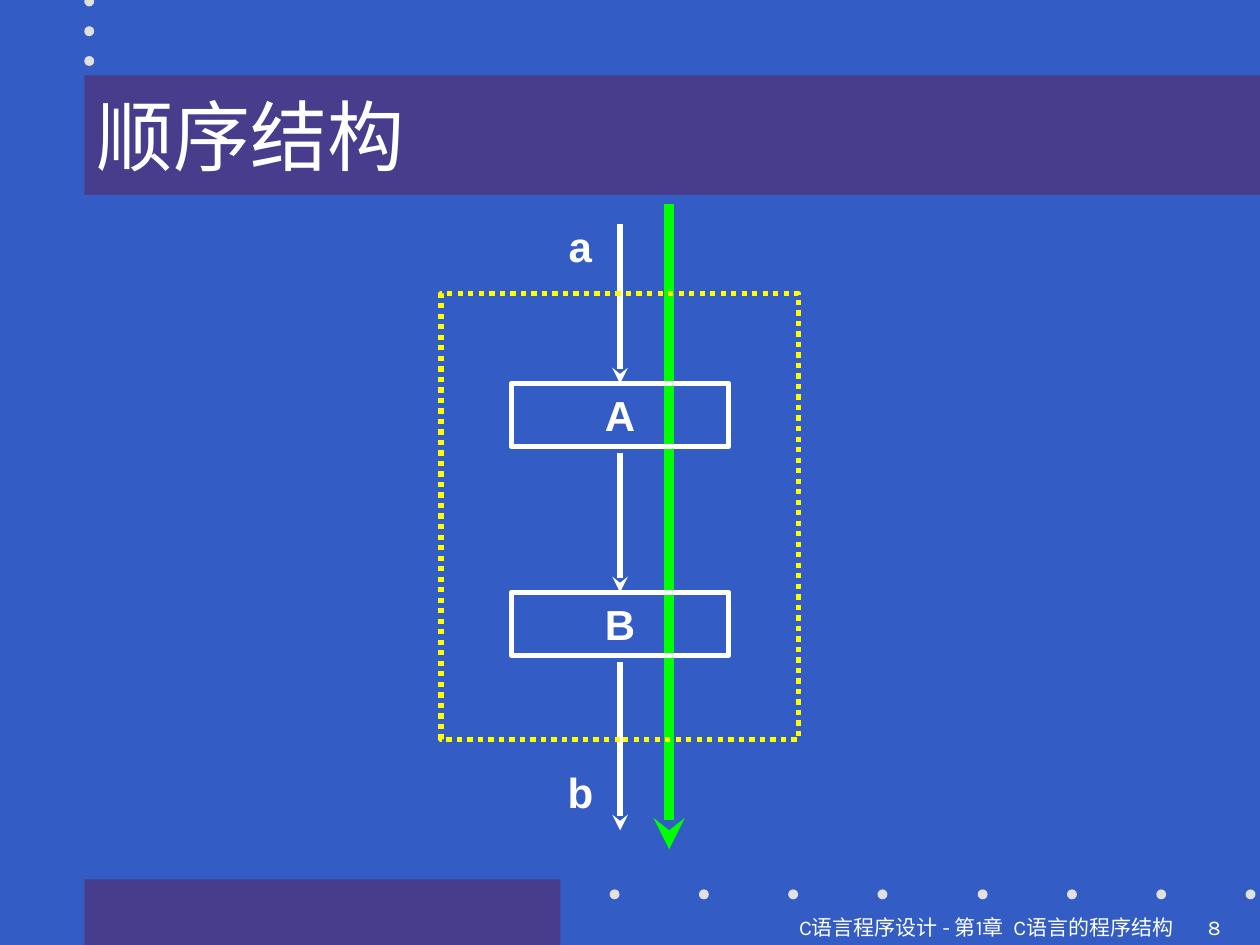
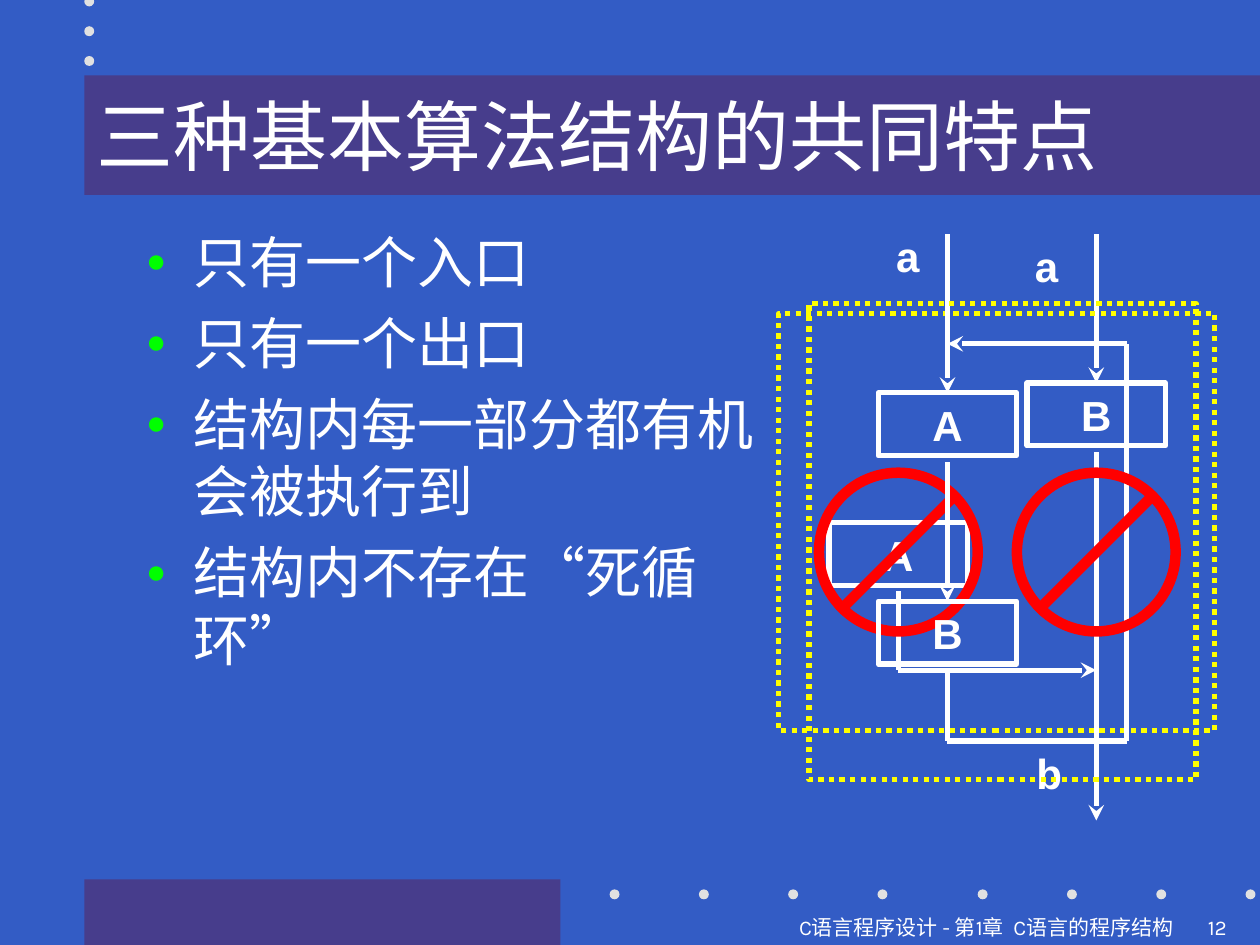
from dataclasses import dataclass
from itertools import pairwise

from lxml import etree
from pptx import Presentation
from pptx.dml.color import RGBColor
from pptx.enum.dml import MSO_LINE
from pptx.enum.shapes import MSO_CONNECTOR, MSO_SHAPE
from pptx.enum.text import MSO_ANCHOR, MSO_AUTO_SIZE, PP_ALIGN
from pptx.oxml.ns import qn
from pptx.util import Cm, Pt

RECTANGLE = MSO_SHAPE.RECTANGLE
OVAL = MSO_SHAPE.OVAL
STRAIGHT = MSO_CONNECTOR.STRAIGHT
DOTTED = MSO_LINE.ROUND_DOT
LEFT, CENTER, RIGHT = PP_ALIGN.LEFT, PP_ALIGN.CENTER, PP_ALIGN.RIGHT
TOP, MIDDLE = MSO_ANCHOR.TOP, MSO_ANCHOR.MIDDLE
NO_AUTOFIT = MSO_AUTO_SIZE.NONE
TITLE_AND_BODY, TITLE_ONLY = 1, 5
TOP_SIDE = 0

FOOTER = "C语言程序设计 - 第1章  C语言的程序结构"
BOX_HEIGHT = 1.27
ARROW_GAP = 0.13


@dataclass(frozen=True)
class Theme:
    background: str = "335CC5"
    band: str = "473D8C"
    dot: str = "E1E1E1"
    ink: str = "FFFFFF"
    accent: str = "00FF00"
    frame: str = "FFFF00"
    ban: str = "FF0000"
    heading_font: str = "Times New Roman"
    label_font: str = "Arial"
    footer_font: str = "Karla"
    title_size: int = 44
    body_size: int = 32
    label_size: int = 24
    footer_size: int = 12
    thin: int = 3
    thick: int = 6


def color(value):
    return RGBColor.from_string(value)


def write(text_frame, text, *, font, size, ink, bold=False, align=LEFT,
          anchor=TOP, space_before=0):
    text_frame.word_wrap = True
    text_frame.auto_size = NO_AUTOFIT
    text_frame.vertical_anchor = anchor
    text_frame.text = text
    for paragraph in text_frame.paragraphs:
        paragraph.alignment = align
        paragraph.space_before = Pt(space_before)
        for run in paragraph.runs:
            run.font.name = font
            run.font.size = Pt(size)
            run.font.bold = bold
            run.font.color.rgb = color(ink)


def add_bullet(paragraph, ink, indent):
    properties = paragraph._p.get_or_add_pPr()
    properties.set("marL", str(indent))
    properties.set("indent", str(-indent))
    bullet_color = etree.SubElement(properties, qn("a:buClr"))
    etree.SubElement(bullet_color, qn("a:srgbClr"), val=ink)
    etree.SubElement(properties, qn("a:buSzPct"), val="60000")
    etree.SubElement(properties, qn("a:buChar"), char="●")


def place(shape, left, top, width, height):
    shape.left, shape.top = Cm(left), Cm(top)
    shape.width, shape.height = Cm(width), Cm(height)


class Deck:
    def __init__(self, theme):
        self.theme = theme
        self.presentation = Presentation()
        self.presentation.slide_width = Cm(25.4)
        self.presentation.slide_height = Cm(19.05)
        fill = self.presentation.slide_master.background.fill
        fill.solid()
        fill.fore_color.rgb = color(theme.background)
        self.slide = None

    def start_slide(self, layout, title, number):
        layouts = self.presentation.slide_layouts
        self.slide = self.presentation.slides.add_slide(layouts[layout])
        self.decorate()
        self.title(title)
        self.footer(FOOTER, 0, 23.9, RIGHT)
        self.footer(number, 24.1, 1.3, LEFT)

    def decorate(self):
        self.shape(RECTANGLE, 1.7, 17.73, 9.6, 1.32, fill=self.theme.band)
        column = [(1.7, -0.07 + 0.6 * step) for step in range(3)]
        row = [(start + 1.8 * step, 17.93)
               for start in (12.29, 19.71) for step in range(4)]
        for left, top in column + row:
            self.shape(OVAL, left, top, 0.2, 0.2, fill=self.theme.dot)

    def title(self, text):
        title = self.slide.shapes.title
        place(title, 1.7, 1.52, 23.7, 2.41)
        title.fill.solid()
        title.fill.fore_color.rgb = color(self.theme.band)
        write(title.text_frame, text, font=self.theme.heading_font,
              size=self.theme.title_size, ink=self.theme.ink, anchor=MIDDLE)

    def bullets(self, items):
        body = self.slide.placeholders[1]
        place(body, 2.69, 4.45, 12.8, 13.28)
        write(body.text_frame, "\n".join(items), font=self.theme.heading_font,
              size=self.theme.body_size, ink=self.theme.ink, space_before=8)
        for paragraph in body.text_frame.paragraphs:
            add_bullet(paragraph, self.theme.accent, Cm(0.95))

    def text_box(self, text, left, top, width, height, **style):
        box = self.slide.shapes.add_textbox(
            Cm(left), Cm(top), Cm(width), Cm(height))
        write(box.text_frame, text, ink=self.theme.ink, **style)

    def footer(self, text, left, width, align):
        self.text_box(text, left, 18.31, width, 0.71, align=align,
                      font=self.theme.footer_font, size=self.theme.footer_size)

    def label(self, text, center, top, width=1.6):
        self.text_box(text, center - width / 2, top, width, BOX_HEIGHT,
                      font=self.theme.label_font, size=self.theme.label_size,
                      bold=True, align=CENTER)

    def shape(self, kind, left, top, width, height, *, fill=None, line=None,
              weight=0, dash=None):
        shape = self.slide.shapes.add_shape(
            kind, Cm(left), Cm(top), Cm(width), Cm(height))
        shape.shadow.inherit = False
        if fill:
            shape.fill.solid()
            shape.fill.fore_color.rgb = color(fill)
        else:
            shape.fill.background()
        if line:
            shape.line.color.rgb = color(line)
            shape.line.width = Pt(weight)
            shape.line.dash_style = dash
        else:
            shape.line.fill.background()
        return shape

    def step(self, text, center, top, width):
        box = self.shape(RECTANGLE, center - width / 2, top, width, BOX_HEIGHT,
                         line=self.theme.ink, weight=self.theme.thin)
        write(box.text_frame, text, font=self.theme.label_font,
              size=self.theme.label_size, ink=self.theme.ink, bold=True,
              align=CENTER)
        return box

    def frame(self, left, top, width, height):
        self.shape(RECTANGLE, left, top, width, height, line=self.theme.frame,
                   weight=self.theme.thin, dash=DOTTED)

    def line(self, start, end, *, ink=None, weight=None, arrow=False,
             target=None):
        connector = self.slide.shapes.add_connector(
            STRAIGHT, *map(Cm, start), *map(Cm, end))
        connector.line.color.rgb = color(ink or self.theme.ink)
        connector.line.width = Pt(weight or self.theme.thin)
        if arrow:
            etree.SubElement(connector.line._get_or_add_ln(),
                             qn("a:tailEnd"), type="stealth")
        etree.SubElement(connector._element.spPr, qn("a:effectLst"))
        if target:
            connector.end_connect(target, TOP_SIDE)

    def arrow_down(self, x, top, bottom, **style):
        self.line((x, top), (x, bottom), arrow=True, **style)

    def route(self, *points, arrow=False):
        segments = list(pairwise(points))
        for start, end in segments[:-1]:
            self.line(start, end)
        self.line(*segments[-1], arrow=arrow)

    def sequence(self, center, entry, tops, width):
        start = entry
        for text, top in zip("AB", tops):
            box = self.step(text, center, top, width)
            self.arrow_down(center, start, top, target=box)
            start = top + BOX_HEIGHT + ARROW_GAP
        return start

    def ban(self, x, y):
        style = {"ink": self.theme.ban, "weight": self.theme.thick}
        radius, reach = 1.6, 1.2
        self.shape(OVAL, x - radius, y - radius, 2 * radius, 2 * radius,
                   line=style["ink"], weight=style["weight"])
        self.line((x + reach, y - reach), (x - reach, y + reach), **style)


def build_sequence_slide(deck):
    deck.start_slide(TITLE_ONLY, "顺序结构", "8")
    axis = 12.5
    deck.arrow_down(13.49, 4.11, 17.12, ink=deck.theme.accent,
                    weight=deck.theme.thick)
    leave = deck.sequence(axis, 4.52, (7.73, 11.94), 4.39)
    deck.arrow_down(axis, leave, 16.74)
    deck.frame(8.89, 5.92, 7.21, 8.99)
    deck.label("a", 11.7, 4.32)
    deck.label("b", 11.7, 15.32, 2)


def build_features_slide(deck):
    deck.start_slide(TITLE_AND_BODY, "三种基本算法结构的共同特点", "12")
    deck.bullets(["只有一个入口", "只有一个出口",
                  "结构内每一部分都有机会被执行到", "结构内不存在“死循环”"])
    step_width, entry, ban_level = 2.79, 4.72, 11.13

    dead_axis, main_axis = 18.11, 22.1
    deck.step("A", dead_axis, 10.54, step_width)
    main_step = deck.step("B", main_axis, 7.72, step_width)
    deck.arrow_down(main_axis, entry, 7.72, target=main_step)
    deck.label("a", 21.1, entry, 1.19)
    deck.frame(15.7, 6.32, 8.79, 8.41)
    deck.label("b", 21.15, 14.94, 1.09)
    deck.route((dead_axis, 11.91), (dead_axis, 13.51), (main_axis, 13.51),
               arrow=True)
    deck.arrow_down(main_axis, 9.12, 16.54)
    deck.ban(dead_axis, ban_level)

    loop_axis, return_axis = 19.1, 22.71
    leave = deck.sequence(loop_axis, entry, (7.92, 12.12), step_width)
    deck.label("a", 18.3, 4.52)
    deck.frame(16.31, 6.12, 7.8, 9.6)
    deck.route((loop_axis, leave), (loop_axis, 14.94), (return_axis, 14.94),
               (return_axis, 6.93), (loop_axis, 6.93), arrow=True)
    deck.ban(main_axis, ban_level)


def main():
    deck = Deck(Theme())
    build_sequence_slide(deck)
    build_features_slide(deck)
    deck.presentation.save("out.pptx")


if __name__ == "__main__":
    main()
